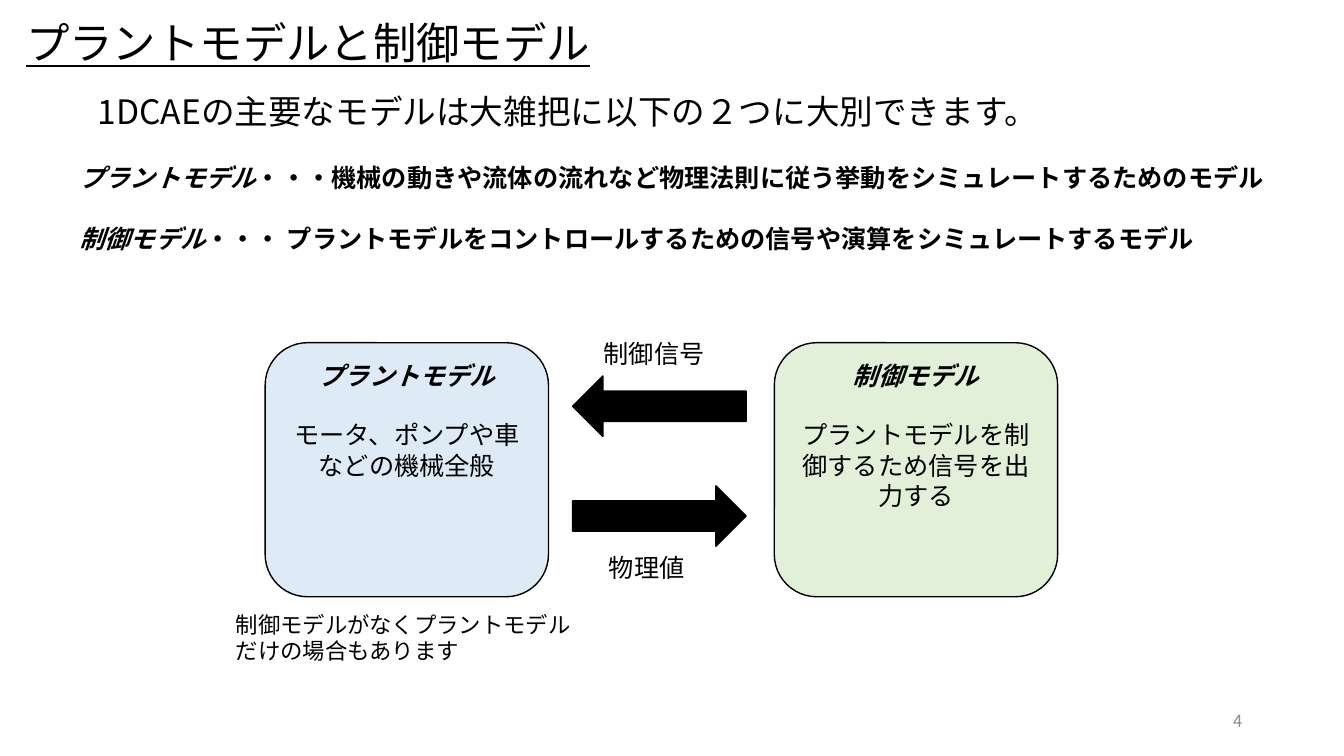
from lxml import etree
from pptx import Presentation
from pptx.dml.color import RGBColor
from pptx.enum import shapes, text
from pptx.oxml import ns
from pptx.util import Inches, Pt

FONT = "Noto Sans CJK JP"
BLACK = RGBColor(0x00, 0x00, 0x00)
GRAY = RGBColor(0x8C, 0x8C, 0x8C)
PALE_BLUE = RGBColor(0xDE, 0xEB, 0xF7)
PALE_GREEN = RGBColor(0xE2, 0xF0, 0xD9)
SHAPE = shapes.MSO_SHAPE
LEFT, CENTER, RIGHT = text.PP_ALIGN.LEFT, text.PP_ALIGN.CENTER, text.PP_ALIGN.RIGHT

deck = Presentation()
deck.slide_width, deck.slide_height = Inches(13.33), Inches(7.5)
page = deck.slides.add_slide(deck.slide_layouts[6])


def write(box, paragraphs, size, color=BLACK, align=LEFT, gap=0, wrap=True):
    """Fill a box with paragraphs, each a list of (words, bold, italic) spans."""
    frame = box.text_frame
    frame.word_wrap = wrap
    frame.vertical_anchor = text.MSO_ANCHOR.TOP
    for index, spans in enumerate(paragraphs):
        para = frame.add_paragraph() if index else frame.paragraphs[0]
        para.alignment = align
        para.space_before = Pt(gap if index else 0)
        para.font.size, para.font.name = Pt(size), FONT
        para.font.color.rgb = color
        for words, bold, italic in spans:
            span = para.add_run()
            span.text = words
            span.font.bold, span.font.italic = bold, italic
            east_asian = etree.SubElement(span._r.get_or_add_rPr(), ns.qn("a:ea"))
            east_asian.set("typeface", FONT)
    return frame


def add_block(kind, left, top, width, height, fill):
    """Add a filled shape with a thin black outline."""
    block = page.shapes.add_shape(
        kind, Inches(left), Inches(top), Inches(width), Inches(height))
    block.shadow.inherit = False
    block.fill.solid()
    block.fill.fore_color.rgb = fill
    block.line.color.rgb = BLACK
    block.line.width = Pt(1)
    return block


# Title and page number
title = page.shapes.add_textbox(Inches(0.2), Inches(0.1), Inches(5.76), Inches(0.63))
frame = write(title, [[("プラントモデルと制御モデル", False, False)]], 31, wrap=False)
frame.vertical_anchor = text.MSO_ANCHOR.MIDDLE
frame.margin_left = frame.margin_right = Inches(0.06)
frame.margin_top = frame.margin_bottom = Inches(0.06)
frame.paragraphs[0].font.underline = True

number = page.shapes.add_textbox(Inches(9.42), Inches(6.95), Inches(3), Inches(0.4))
frame = write(number, [[("4", False, False)]], 12, GRAY, RIGHT)
frame.vertical_anchor = text.MSO_ANCHOR.MIDDLE

# Plain texts: left, top, width, height, size, wrap, words
for left, top, width, height, size, wrap, words in [
    (0.87, 0.85, 11.55, 0.5, 24, True,
     "1DCAEの主要なモデルは大雑把に以下の２つに大別できます。"),
    (5.89, 3.31, 1.33, 0.52, 18, False, "制御信号"),
    (5.94, 5.43, 1.05, 0.52, 18, False, "物理値"),
    (2.24, 6.01, 3.66, 0.64, 16, True,
     "制御モデルがなくプラントモデルだけの場合もあります"),
]:
    box = page.shapes.add_textbox(
        Inches(left), Inches(top), Inches(width), Inches(height))
    write(box, [[(words, False, False)]], size, wrap=wrap)

# Definitions of the two models
definitions = page.shapes.add_textbox(
    Inches(0.69), Inches(1.56), Inches(12.1), Inches(1.01))
write(definitions, [
    [("プラントモデル", True, True),
     ("・・・機械の動きや流体の流れなど物理法則に従う挙動をシミュレートするためのモデル", True, False)],
    [("制御モデル", True, True),
     ("・・・ プラントモデルをコントロールするための信号や演算をシミュレートするモデル", True, False)],
], 18, gap=22)

# The two models and the arrows between them
for left, fill, name, role in [
    (2.63, PALE_BLUE, "プラントモデル", "モータ、ポンプや車などの機械全般"),
    (7.68, PALE_GREEN, "制御モデル", "プラントモデルを制御するため信号を出力する"),
]:
    model = add_block(SHAPE.ROUNDED_RECTANGLE, left, 3.4, 2.81, 2.52, fill)
    write(model, [[(name, True, True)], [(role, False, False)]],
          18, align=CENTER, gap=21)

for top, rotation in [(3.73, 180), (4.82, 0)]:
    arrow = add_block(SHAPE.RIGHT_ARROW, 5.68, top, 1.72, 0.6, BLACK)
    arrow.rotation = rotation

deck.save("out.pptx")
